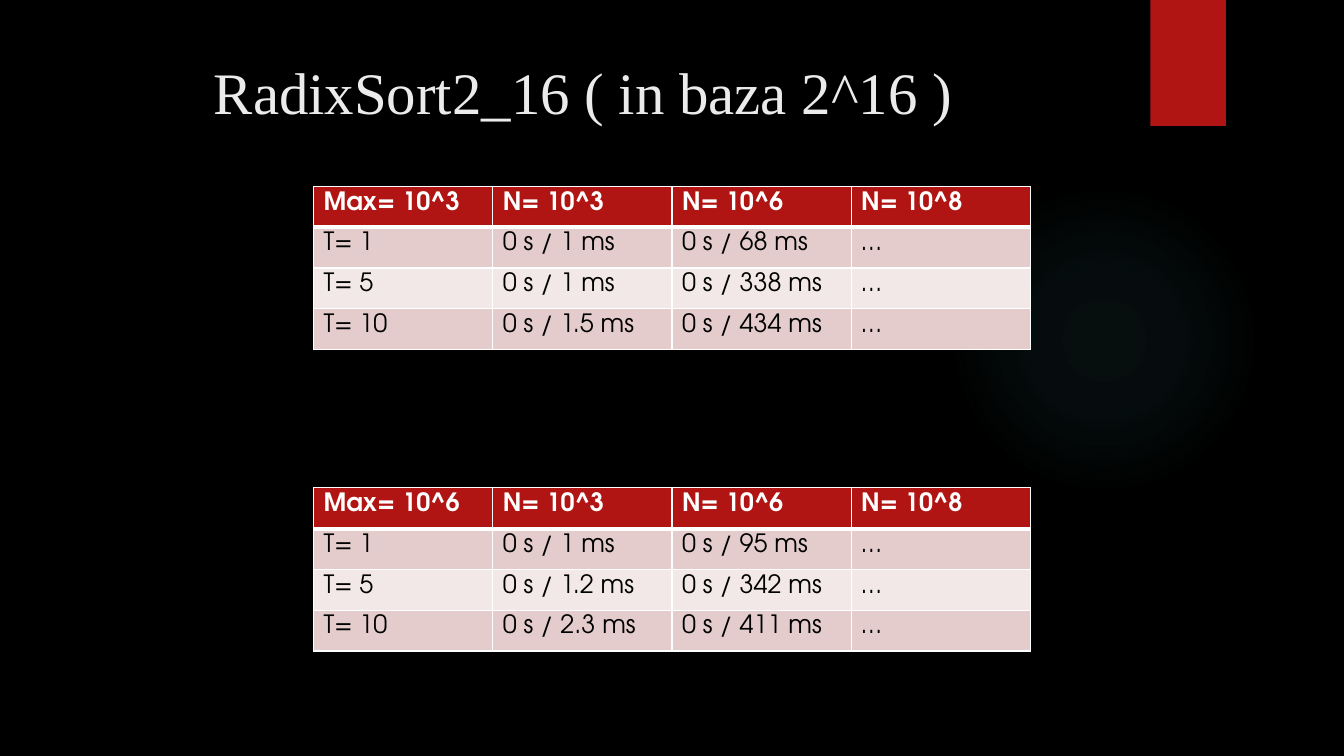
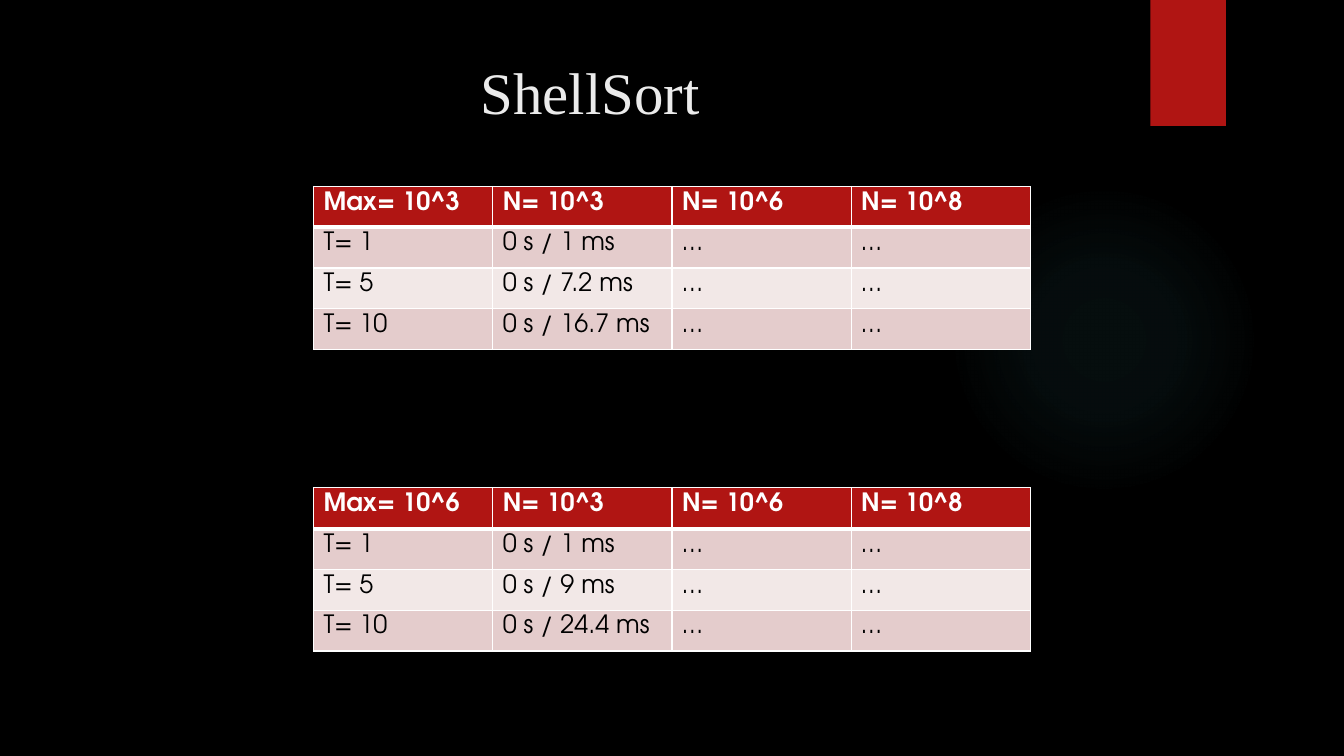
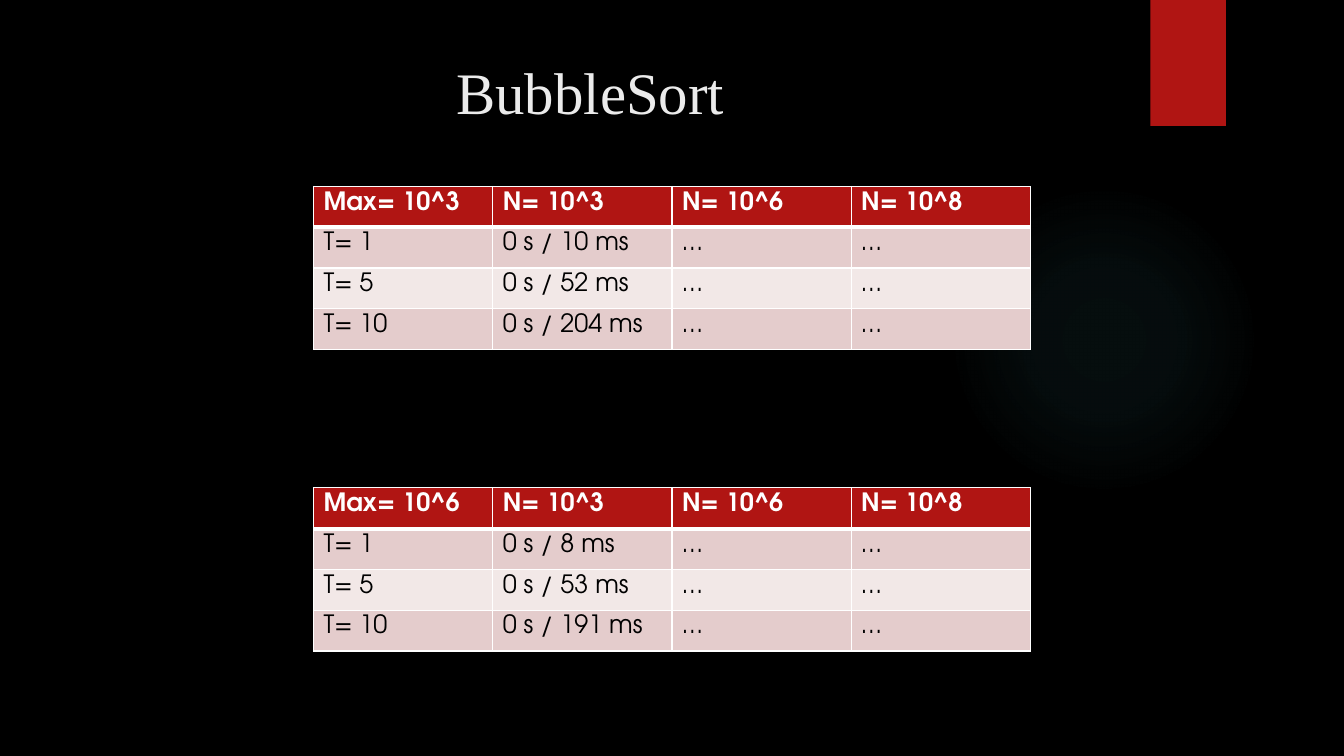
from dataclasses import dataclass

from pptx import Presentation
from pptx.dml.color import RGBColor
from pptx.enum.shapes import MSO_SHAPE
from pptx.enum.text import MSO_ANCHOR, PP_ALIGN
from pptx.oxml import parse_xml
from pptx.oxml.ns import nsdecls, qn
from pptx.presentation import Presentation as Deck
from pptx.shapes.autoshape import Shape
from pptx.slide import Slide
from pptx.table import _Cell
from pptx.text.text import TextFrame
from pptx.util import Inches, Pt

ELLIPSE, RECTANGLE = MSO_SHAPE.OVAL, MSO_SHAPE.RECTANGLE
LEFT, CENTER = PP_ALIGN.LEFT, PP_ALIGN.CENTER
TOP = MSO_ANCHOR.TOP
BLANK_LAYOUT = 6


@dataclass(frozen=True)
class Theme:
    background: str = "000000"
    accent: str = "B01513"
    glow: str = "50B9C1"
    title: str = "EBEBEB"
    header_text: str = "FFFFFF"
    body_text: str = "000000"
    odd_row: str = "E4CCCC"
    even_row: str = "F2E8E7"
    border: str = "FFFFFF"
    title_font: str = "Times New Roman"
    table_font: str = "TeX Gyre Adventor"
    title_size: float = 42
    table_size: float = 18
    thin_border: float = 1
    thick_border: float = 3


@dataclass(frozen=True)
class Box:
    left: float
    top: float
    width: float
    height: float

    def lengths(self) -> tuple[Inches, Inches, Inches, Inches]:
        return Inches(self.left), Inches(self.top), Inches(self.width), Inches(self.height)


@dataclass(frozen=True)
class Timing:
    """Times for one maximum value: a row per T, a column per N."""
    maximum: str
    times: tuple[tuple[str, str, str], ...]


@dataclass(frozen=True)
class SortPage:
    title: str
    timings: tuple[Timing, Timing]


THEME = Theme()
GLOW_BOX = Box(9.41, 1.83, 3.08, 3.08)
TAB_BOX = Box(11.41, 0, 0.75, 1.25)
TITLE_BOX = Box(0.71, 0.5, 10.29, 1.53)
TABLE_BOXES = (Box(3.11, 1.85, 7.11, 1.62), Box(3.11, 4.84, 7.11, 1.62))
GLOW_STOPS = ((0, 7), (36, 6), (69, 0))  # position and opacity in percent

COUNTS = ("N= 10^3", "N= 10^6", "N= 10^8")
TESTS = ("T= 1", "T= 5", "T= 10")
NONE = "…"

PAGES = (
    SortPage("RadixSort2_16 ( in baza 2^16 ) ", (
        Timing("Max= 10^3", (("0 s / 1 ms", "0 s / 68 ms", NONE),
                             ("0 s / 1 ms", "0 s / 338 ms", NONE),
                             ("0 s / 1.5 ms", "0 s / 434 ms", NONE))),
        Timing("Max= 10^6", (("0 s / 1 ms", "0 s / 95 ms", NONE),
                             ("0 s / 1.2 ms", "0 s / 342 ms", NONE),
                             ("0 s / 2.3 ms", "0 s / 411 ms", NONE))))),
    SortPage("ShellSort", (
        Timing("Max= 10^3", (("0 s / 1 ms", NONE, NONE),
                             ("0 s / 7.2 ms", NONE, NONE),
                             ("0 s / 16.7 ms", NONE, NONE))),
        Timing("Max= 10^6", (("0 s / 1 ms", NONE, NONE),
                             ("0 s / 9 ms", NONE, NONE),
                             ("0 s / 24.4 ms", NONE, NONE))))),
    SortPage("BubbleSort", (
        Timing("Max= 10^3", (("0 s / 10 ms", NONE, NONE),
                             ("0 s / 52 ms", NONE, NONE),
                             ("0 s / 204 ms", NONE, NONE))),
        Timing("Max= 10^6", (("0 s / 8 ms", NONE, NONE),
                             ("0 s / 53 ms", NONE, NONE),
                             ("0 s / 191 ms", NONE, NONE))))),
)


# Text
def write_text(frame: TextFrame, text: str, *, font: str, size: float, color: str,
               bold: bool = False, align: PP_ALIGN = LEFT) -> None:
    para = frame.paragraphs[0]
    para.alignment = align
    span = para.add_run()
    span.text = text
    span.font.name = font
    span.font.size = Pt(size)
    span.font.bold = bold
    span.font.color.rgb = RGBColor.from_string(color)


# Shared decoration
def add_plain_shape(page: Slide, kind: MSO_SHAPE, box: Box) -> Shape:
    shape = page.shapes.add_shape(kind, *box.lengths())
    shape.shadow.inherit = False
    shape.line.fill.background()
    return shape


def add_glow(page: Slide) -> None:
    glow = add_plain_shape(page, ELLIPSE, GLOW_BOX)
    glow.fill.background()
    stops = "".join(
        f'<a:gs pos="{position * 1000}"><a:srgbClr val="{THEME.glow}">'
        f'<a:alpha val="{opacity * 1000}"/></a:srgbClr></a:gs>'
        for position, opacity in GLOW_STOPS)
    gradient = parse_xml(
        f'<a:gradFill {nsdecls("a")}><a:gsLst>{stops}</a:gsLst><a:path path="circle">'
        '<a:fillToRect l="50000" t="50000" r="50000" b="50000"/></a:path></a:gradFill>')
    properties = glow.element.spPr
    properties.replace(properties.find(qn("a:noFill")), gradient)


def add_corner_tab(page: Slide) -> None:
    tab = add_plain_shape(page, RECTANGLE, TAB_BOX)
    tab.fill.solid()
    tab.fill.fore_color.rgb = RGBColor.from_string(THEME.accent)
    tab.element.spPr.find(qn("a:effectLst")).append(parse_xml(
        f'<a:outerShdw {nsdecls("a")} blurRad="{Pt(3)}" dist="{Pt(2)}" dir="5400000">'
        '<a:srgbClr val="000000"><a:alpha val="45000"/></a:srgbClr></a:outerShdw>'))


def add_title(page: Slide, title: str) -> None:
    box = page.shapes.add_textbox(*TITLE_BOX.lengths())
    box.text_frame.word_wrap = True
    box.text_frame.vertical_anchor = TOP
    write_text(box.text_frame, title, font=THEME.title_font, size=THEME.title_size,
               color=THEME.title, align=CENTER)


# Tables
def set_borders(cell: _Cell, top: float, bottom: float) -> None:
    properties = cell._tc.get_or_add_tcPr()
    widths = {"L": THEME.thin_border, "R": THEME.thin_border, "T": top, "B": bottom}
    for side, width in widths.items():
        properties.append(parse_xml(
            f'<a:ln{side} {nsdecls("a")} w="{Pt(width)}"><a:solidFill>'
            f'<a:srgbClr val="{THEME.border}"/></a:solidFill></a:ln{side}>'))


def add_timing_table(page: Slide, timing: Timing, box: Box) -> None:
    rows = [(timing.maximum, *COUNTS)]
    rows += [(test, *times) for test, times in zip(TESTS, timing.times)]
    table = page.shapes.add_table(len(rows), len(rows[0]), *box.lengths()).table
    for column in table.columns:
        column.width = Inches(box.width / len(rows[0]))
    for row_index, texts in enumerate(rows):
        table.rows[row_index].height = Inches(box.height / len(rows))
        header = row_index == 0
        band = THEME.odd_row if row_index % 2 else THEME.even_row
        for column_index, text in enumerate(texts):
            cell = table.cell(row_index, column_index)
            set_borders(cell,
                        top=THEME.thick_border if row_index == 1 else THEME.thin_border,
                        bottom=THEME.thick_border if header else THEME.thin_border)
            cell.fill.solid()
            cell.fill.fore_color.rgb = RGBColor.from_string(THEME.accent if header else band)
            write_text(cell.text_frame, text, font=THEME.table_font, size=THEME.table_size,
                       color=THEME.header_text if header else THEME.body_text, bold=header)


# Pages
def add_sort_page(deck: Deck, content: SortPage) -> None:
    page = deck.slides.add_slide(deck.slide_layouts[BLANK_LAYOUT])
    add_glow(page)
    add_corner_tab(page)
    add_title(page, content.title)
    for timing, box in zip(content.timings, TABLE_BOXES):
        add_timing_table(page, timing, box)


def main() -> None:
    deck = Presentation()
    deck.slide_width, deck.slide_height = Inches(13.33), Inches(7.5)
    backdrop = deck.slide_master.background.fill
    backdrop.solid()
    backdrop.fore_color.rgb = RGBColor.from_string(THEME.background)
    for content in PAGES:
        add_sort_page(deck, content)
    deck.save("out.pptx")


if __name__ == "__main__":
    main()
